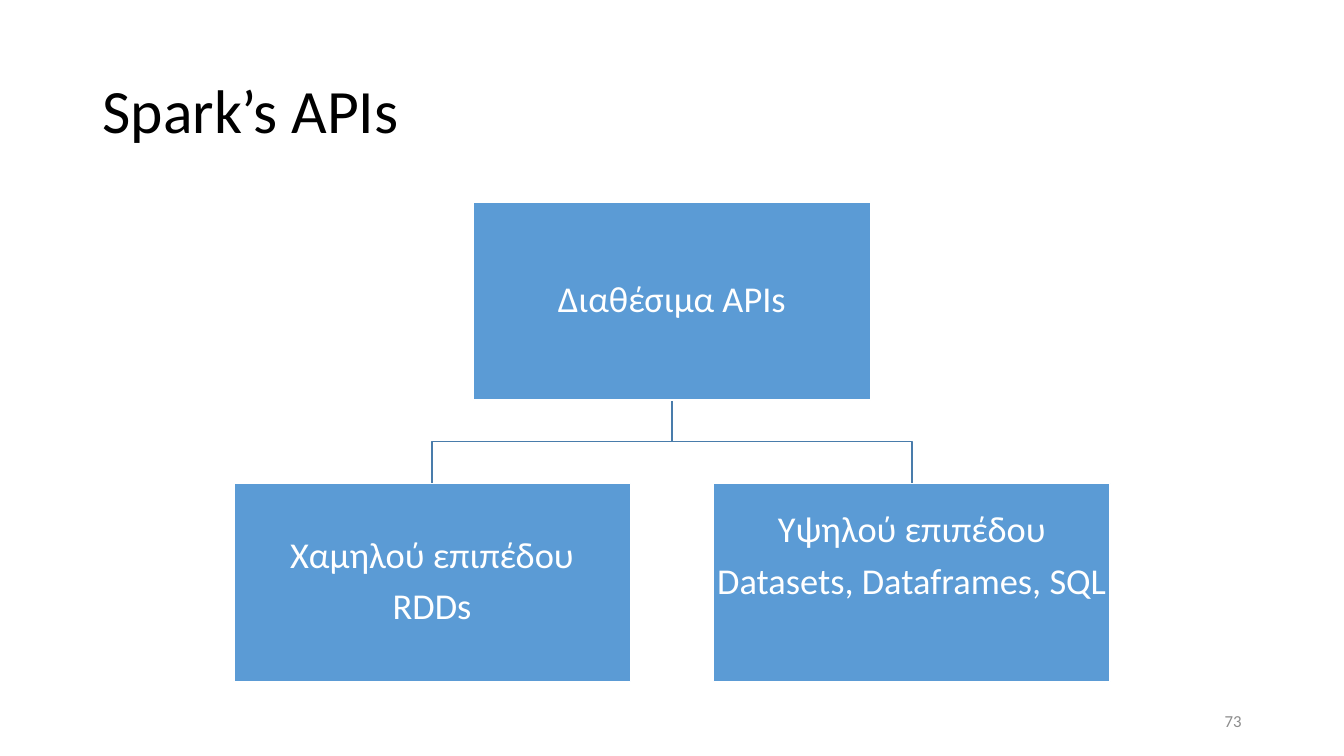
from pptx import Presentation
from pptx.dml.color import RGBColor
from pptx.enum.shapes import MSO_SHAPE
from pptx.enum.text import MSO_ANCHOR, PP_ALIGN
from pptx.util import Pt

RECT = MSO_SHAPE.RECTANGLE
MIDDLE = MSO_ANCHOR.MIDDLE
LEFT, CENTER, RIGHT = PP_ALIGN.LEFT, PP_ALIGN.CENTER, PP_ALIGN.RIGHT

WIDTH, HEIGHT = 960, 540
BOX_W, BOX_H = 283.2, 141.6
GAP = 59.5
MID = WIDTH / 2
TOP = 144.2
LOW = TOP + BOX_H + GAP
STEP = (BOX_W + GAP) / 2


def color(code):
    return RGBColor.from_string(code)


class Sheet:
    font = "Calibri"
    blue, edge, white, black, gray = "5B9BD5", "497CAB", "FFFFFF", "000000", "8C8C8C"

    def __init__(self, slide):
        self.slide = slide

    def label(self, shape, lines, size, ink, align, space=None, after=0):
        frame = shape.text_frame
        frame.word_wrap = True
        frame.vertical_anchor = MIDDLE
        frame.text = "\n".join(lines)
        for para in frame.paragraphs:
            para.alignment = align
            para.line_spacing = space
            para.space_after = Pt(after)
            for run in para.runs:
                run.font.name = self.font
                run.font.size = Pt(size)
                run.font.color.rgb = color(ink)

    def title(self, text, x, y, w, h):
        shape = self.slide.shapes.title
        shape.left, shape.top, shape.width, shape.height = Pt(x), Pt(y), Pt(w), Pt(h)
        self.label(shape, [text], 44, self.black, LEFT, 0.9)

    def box(self, lines, mid, y, lift=0):
        shape = self.slide.shapes.add_shape(
            RECT, Pt(mid - BOX_W / 2), Pt(y), Pt(BOX_W), Pt(BOX_H))
        shape.shadow.inherit = False
        shape.fill.solid()
        shape.fill.fore_color.rgb = color(self.blue)
        shape.line.color.rgb = color(self.white)
        shape.line.width = Pt(1)
        frame = shape.text_frame
        frame.margin_left = frame.margin_right = frame.margin_top = Pt(1)
        frame.margin_bottom = Pt(1 + lift)
        self.label(shape, lines, 26, self.white, CENTER, 0.9, 8.6)

    def branch(self, end):
        base = TOP + BOX_H
        rail = base + GAP / 2
        turns = [(MID, rail), (end, rail), (end, LOW)]
        pen = self.slide.shapes.build_freeform(Pt(MID), Pt(base))
        pen.add_line_segments([(Pt(x), Pt(y)) for x, y in turns], close=False)
        shape = pen.convert_to_shape()
        shape.shadow.inherit = False
        shape.fill.background()
        shape.line.color.rgb = color(self.edge)
        shape.line.width = Pt(1)

    def number(self, text, x, y, w, h):
        shape = self.slide.shapes.add_textbox(Pt(x), Pt(y), Pt(w), Pt(h))
        self.label(shape, [text], 12, self.gray, RIGHT)


def main():
    deck = Presentation()
    deck.slide_width, deck.slide_height = Pt(WIDTH), Pt(HEIGHT)
    sheet = Sheet(deck.slides.add_slide(deck.slide_layouts[5]))

    sheet.title("Spark’s APIs", 66, 28.8, 828, 104.4)
    levels = [
        (MID - STEP, ["Χαμηλού επιπέδου", "RDDs"], 0),
        (MID + STEP, ["Υψηλού επιπέδου", "Datasets, Dataframes, SQL"], 37),
    ]
    for mid, lines, lift in levels:
        sheet.branch(mid)
    sheet.box(["Διαθέσιμα APIs"], MID, TOP)
    for mid, lines, lift in levels:
        sheet.box(lines, mid, LOW, lift)
    sheet.number("73", 678, 500.5, 216, 28.8)

    deck.save("out.pptx")


if __name__ == "__main__":
    main()
